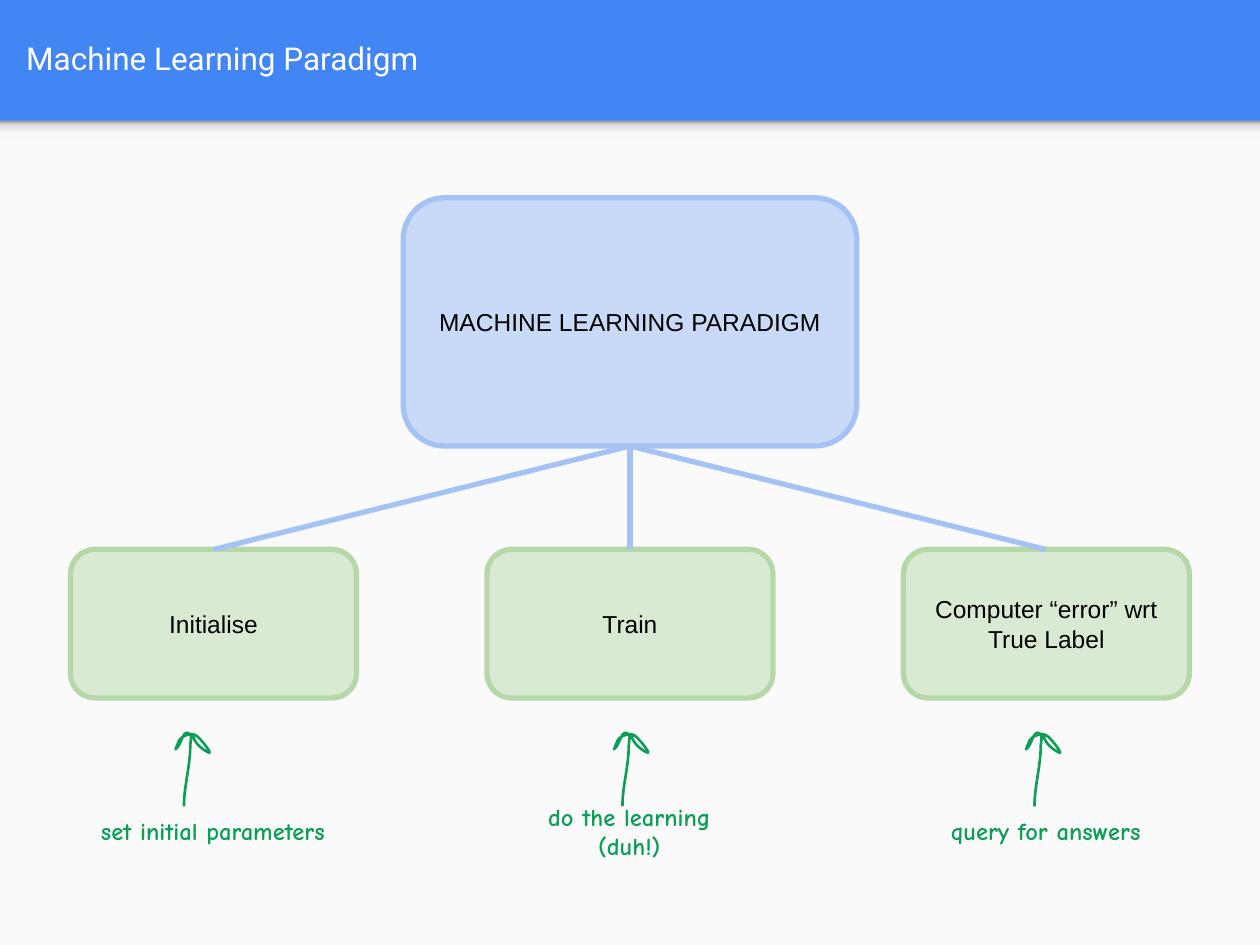
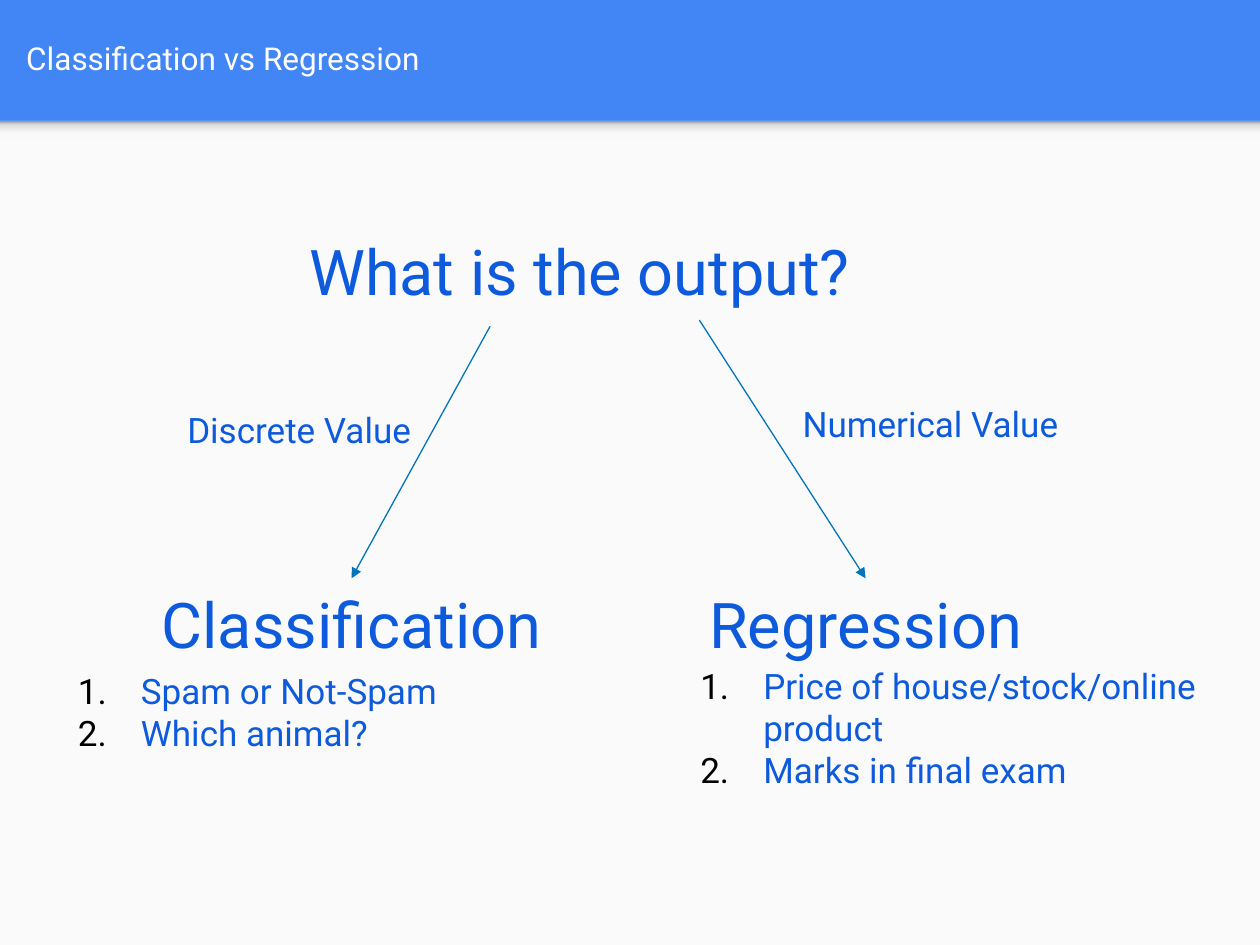
from lxml.etree import SubElement
from pptx import Presentation
from pptx.dml.color import RGBColor
from pptx.enum.shapes import MSO_CONNECTOR, MSO_SHAPE
from pptx.enum.text import MSO_ANCHOR, MSO_AUTO_SIZE, PP_ALIGN
from pptx.oxml.ns import qn
from pptx.util import Inches, Pt

# Shared look
BLUE, PAPER, WHITE, BLACK = "4285F4", "FAFAFA", "FFFFFF", "000000"
ROOT_FILL, ROOT_LINE = "C9DAF8", "A4C2F4"
STEP_FILL, STEP_LINE = "D9EAD3", "B6D7A8"
GREEN, TEXT_BLUE, ARROW_BLUE = "0F9D58", "0D5BDC", "0075BB"
BAND_H = 0.96
BAND_SHADOW = [(0, "F9F9F9"), (36, "F9F9F9"), (80, "DEDEDE"), (100, "999999")]

# Hand-drawn arrow: cubic curves, offsets in inches from the foot of the stem
ARROW_CURVES = [
    [(0, -0.16), (0.05, -0.32), (0.05, -0.48)],
    [(0.05, -0.51), (0.07, -0.57), (0.04, -0.58)],
    [(-0.01, -0.61), (-0.02, -0.49), (-0.06, -0.46)],
    [(-0.08, -0.43), (-0.05, -0.49), (-0.04, -0.52)],
    [(-0.02, -0.56), (0.06, -0.59), (0.1, -0.56)],
    [(0.14, -0.53), (0.24, -0.4), (0.19, -0.43)],
    [(0.13, -0.46), (0.07, -0.52), (0.07, -0.58)],
]


def color(hex_text):
    return RGBColor.from_string(hex_text)


def write(sp, text, size, font, hex_text, align=PP_ALIGN.CENTER,
          bold=False, inset=0.1, numbered=False):
    tf = sp.text_frame
    tf.text = text
    tf.word_wrap = True
    tf.vertical_anchor = MSO_ANCHOR.MIDDLE
    tf.margin_left = tf.margin_right = Inches(0.1)
    tf.margin_top = tf.margin_bottom = Inches(inset)
    for p in tf.paragraphs:
        p.alignment = align
        if numbered:
            number(p)
        for r in p.runs:
            r.font.size, r.font.name, r.font.bold = Pt(size), font, bold
            r.font.color.rgb = color(hex_text)


def number(p):
    pPr = p._p.get_or_add_pPr()
    pPr.set("marL", str(Inches(0.5)))
    pPr.set("indent", str(-Inches(0.5)))
    SubElement(SubElement(pPr, qn("a:buClr")), qn("a:srgbClr"), val=BLACK)
    SubElement(pPr, qn("a:buAutoNum"), type="arabicPeriod")


def add_text(s, box, text, size, font, hex_text, **style):
    sp = s.shapes.add_textbox(*map(Inches, box))
    write(sp, text, size, font, hex_text, **style)
    return sp


def add_label(s, box, text, size, **style):
    sp = add_text(s, box, text, size, "Roboto", TEXT_BLUE, inset=0.05, **style)
    sp.text_frame.auto_size = MSO_AUTO_SIZE.SHAPE_TO_FIT_TEXT


def add_box(s, kind, box, fill=None, line=None):
    sp = s.shapes.add_shape(kind, *map(Inches, box))
    sp.shadow.inherit = False
    if fill:
        sp.fill.solid()
        sp.fill.fore_color.rgb = color(fill)
    if line:
        sp.line.color.rgb = color(line)
        sp.line.width = Pt(3)
    else:
        sp.line.fill.background()
    return sp


def add_line(s, start, end, hex_text, width, arrow=False):
    line = s.shapes.add_connector(MSO_CONNECTOR.STRAIGHT, *map(Inches, start + end))
    line.line.color.rgb = color(hex_text)
    line.line.width = Pt(width)
    if arrow:
        SubElement(line.line._get_or_add_ln(), qn("a:tailEnd"), type="triangle")
    SubElement(line._element.spPr, qn("a:effectLst"))


def add_sketched_arrow(s, x, y):
    builder = s.shapes.build_freeform(Inches(x), Inches(y))
    builder.add_line_segments([(Inches(x + dx), Inches(y + dy))
                               for *_, (dx, dy) in ARROW_CURVES], close=False)
    sp = builder.convert_to_shape()
    sp.shadow.inherit = False
    sp.fill.background()
    sp.line.color.rgb = color(GREEN)
    sp.line.width = Pt(1.5)

    # Bend each straight segment into its curve
    foot_x, foot_y = Inches(x) - sp.left, Inches(y) - sp.top
    segments = list(sp._element.iter(qn("a:lnTo")))
    for segment, curve in zip(segments, ARROW_CURVES):
        outline = segment.getparent()
        bend = SubElement(outline, qn("a:cubicBezTo"))
        for dx, dy in curve:
            SubElement(bend, qn("a:pt"), x=str(foot_x + Inches(dx)),
                       y=str(foot_y + Inches(dy)))
        outline.replace(segment, bend)


def add_slide(prs, title):
    s = prs.slides.add_slide(prs.slide_layouts[6])
    s.background.fill.solid()
    s.background.fill.fore_color.rgb = color(BLUE)
    add_box(s, MSO_SHAPE.RECTANGLE, (0, BAND_H, 10, 7.5 - BAND_H), PAPER)

    # Soft shadow under the title band
    shade = add_box(s, MSO_SHAPE.RECTANGLE, (0, BAND_H, 10, 0.16))
    shade.fill.gradient()
    shade.fill.gradient_angle = 90
    stops = shade._element.spPr.find(qn("a:gradFill")).find(qn("a:gsLst"))
    for stop in list(stops):
        stops.remove(stop)
    for pos, hex_text in BAND_SHADOW:
        stop = SubElement(stops, qn("a:gs"), pos=str(pos * 1000))
        SubElement(stop, qn("a:srgbClr"), val=hex_text)

    add_text(s, (0.11, 0.02, 9.65, 0.88), title, 18, "Roboto", WHITE,
             align=PP_ALIGN.LEFT)
    return s


def paradigm_slide(prs):
    s = add_slide(prs, "Machine Learning Paradigm")
    root = add_box(s, MSO_SHAPE.ROUNDED_RECTANGLE, (3.2, 1.57, 3.6, 1.97),
                   ROOT_FILL, ROOT_LINE)
    write(root, "MACHINE LEARNING PARADIGM", 14, "Arial", BLACK)

    # Steps, joined to the root
    pitch = 3.305
    steps = ["Initialise", "Train", "Computer “error” wrt True Label"]
    for i, step in enumerate(steps):
        sp = add_box(s, MSO_SHAPE.ROUNDED_RECTANGLE,
                     (0.56 + pitch * i, 4.36, 2.27, 1.18), STEP_FILL, STEP_LINE)
        write(sp, step, 14, "Arial", BLACK)
    for x in (1.7, 5, 8.3):
        add_line(s, (5, 3.54), (x, 4.36), ROOT_LINE, 3)

    # Handwritten remarks with arrows
    remarks = ["set initial parameters", "do the learning\n(duh!)", "query for answers"]
    for i, remark in enumerate(remarks):
        add_text(s, (0.02 + pitch * i, 6.24, 3.34, 0.71), remark, 14, "Comic Neue",
                 GREEN, bold=True)
    for x in (1.46, 4.94, 8.21):
        add_sketched_arrow(s, x, 6.4)


def comparison_slide(prs):
    s = add_slide(prs, "Classification vs Regression")

    # Question, arrows and the two answers
    add_label(s, (2.33, 1.79, 4.54, 0.71), "What is the output?", 36)
    add_line(s, (3.89, 2.59), (2.79, 4.59), ARROW_BLUE, 0.75, arrow=True)
    add_line(s, (5.55, 2.54), (6.87, 4.59), ARROW_BLUE, 0.75, arrow=True)
    add_label(s, (0.52, 4.59, 4.54, 0.71), "Classification", 36)
    add_label(s, (4.6, 4.59, 4.54, 0.71), "Regression", 36)

    # Branch labels
    add_label(s, (1.3, 3.19, 2.15, 0.44), "Discrete Value", 20)
    add_label(s, (6.25, 3.14, 2.27, 0.44), "Numerical Value", 20)

    # Numbered examples
    for box, text in [((0.52, 5.26, 4.54, 0.77), "Spam or Not-Spam\nWhich animal?"),
                      ((5.46, 5.22, 4.54, 1.11),
                       "Price of house/stock/online product\nMarks in final exam")]:
        add_label(s, box, text, 20, align=PP_ALIGN.LEFT, numbered=True)


def main():
    prs = Presentation()
    prs.slide_width, prs.slide_height = Inches(10), Inches(7.5)
    paradigm_slide(prs)
    comparison_slide(prs)
    prs.save("out.pptx")


if __name__ == "__main__":
    main()
